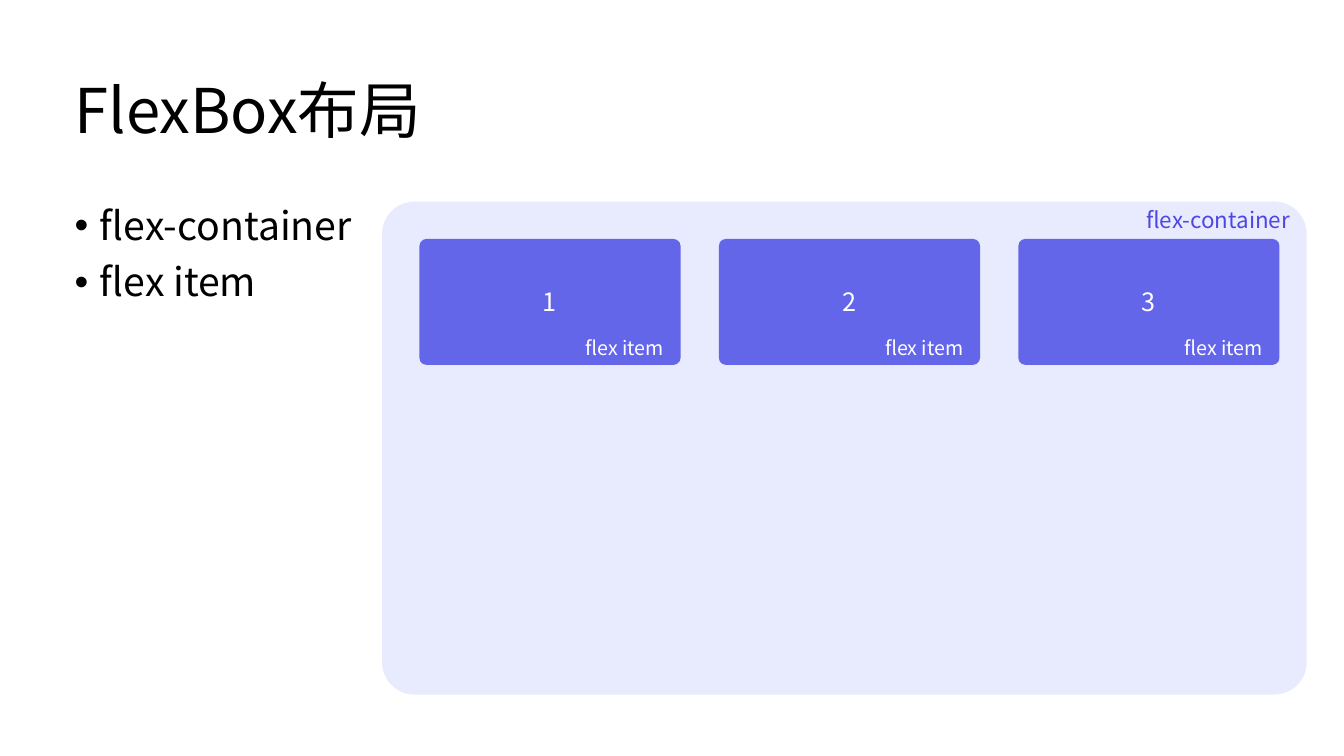
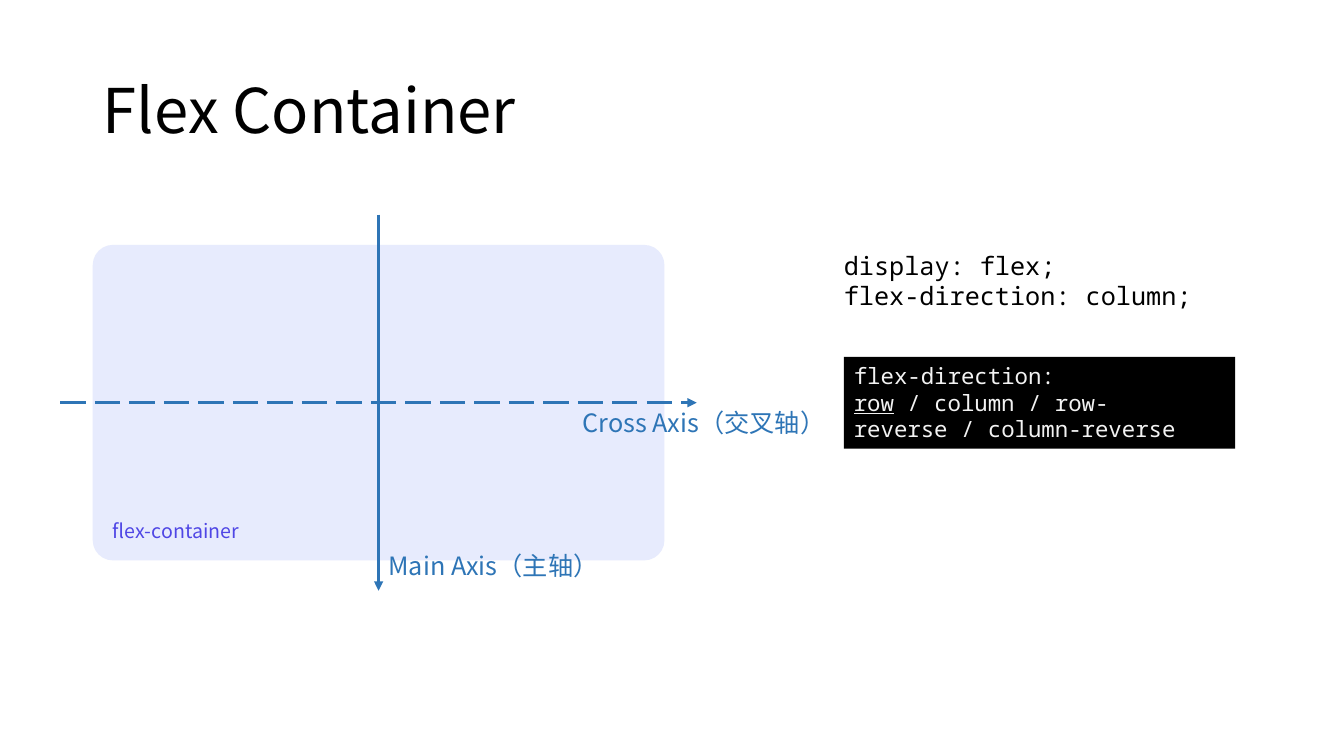
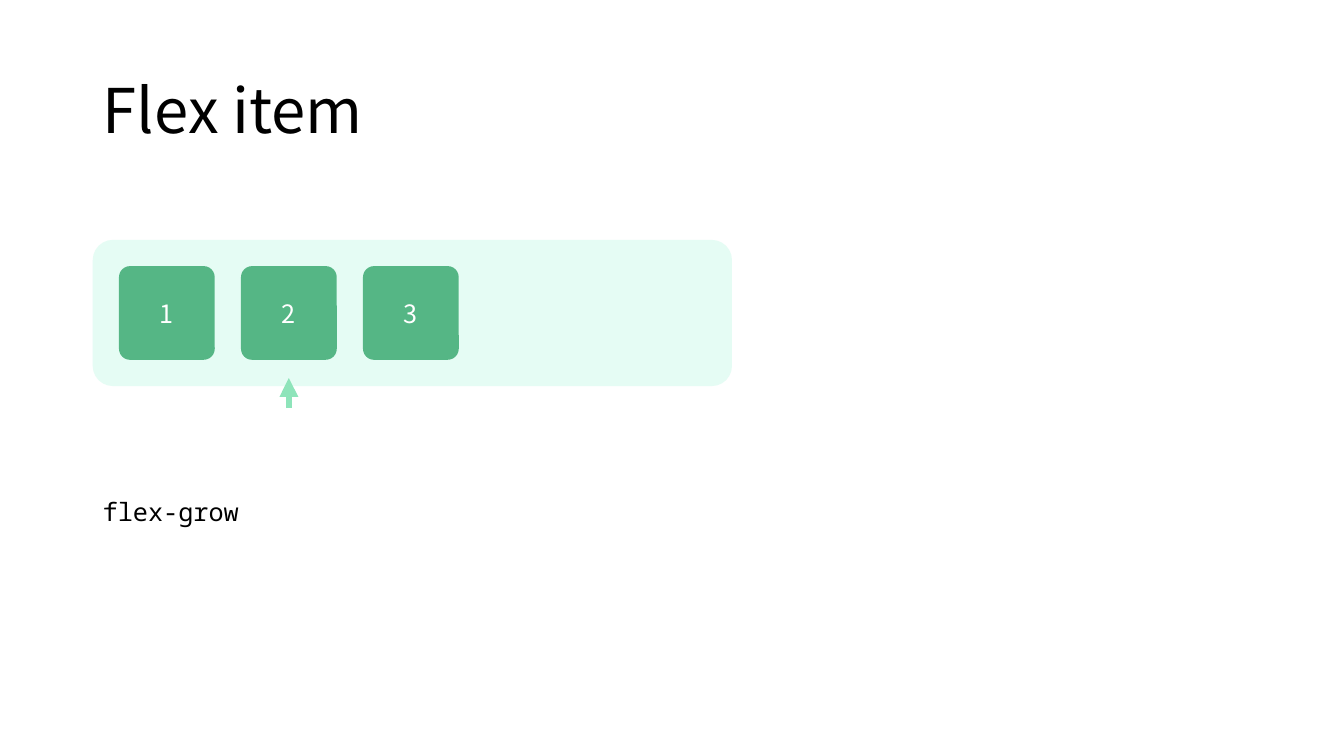
from dataclasses import dataclass

from lxml import etree
from pptx import Presentation
from pptx.dml.color import RGBColor
from pptx.enum.dml import MSO_LINE
from pptx.enum.shapes import MSO_CONNECTOR, MSO_SHAPE
from pptx.enum.text import MSO_ANCHOR, MSO_AUTO_SIZE, PP_ALIGN
from pptx.oxml.ns import qn
from pptx.util import Inches, Pt

ROUNDED, RECT = MSO_SHAPE.ROUNDED_RECTANGLE, MSO_SHAPE.RECTANGLE
STRAIGHT, LONG_DASH = MSO_CONNECTOR.STRAIGHT, MSO_LINE.LONG_DASH
MIDDLE, TOP = MSO_ANCHOR.MIDDLE, MSO_ANCHOR.TOP
LEFT, CENTER = PP_ALIGN.LEFT, PP_ALIGN.CENTER
FIT_SHAPE, NO_FIT = MSO_AUTO_SIZE.SHAPE_TO_FIT_TEXT, MSO_AUTO_SIZE.NONE

# Shared look
SLIDE_W, SLIDE_H = 13.33, 7.5
SANS, MONO = "Noto Sans CJK SC", "Noto Sans Mono"
BLACK, WHITE, OFF_WHITE = "000000", "FFFFFF", "F2F2F2"
LAVENDER, VIOLET, INDIGO = "E7EBFD", "6466E9", "4F46E5"
MINT, GREEN, LIGHT_GREEN = "E5FCF4", "55B685", "8EE4BA"
AXIS_BLUE = "2E75B6"
TITLE_TOP, TITLE_W, TITLE_H = 0.4, 11.5, 1.45
TITLE_ONLY, TITLE_AND_BODY = 5, 1
ITEM_NUMBERS = ("1", "2", "3")


@dataclass
class Box:
    left: float
    top: float
    width: float
    height: float

    @property
    def right(self):
        return self.left + self.width

    @property
    def bottom(self):
        return self.top + self.height

    @property
    def center(self):
        return self.left + self.width / 2, self.top + self.height / 2

    def emu(self):
        return [Inches(n) for n in (self.left, self.top, self.width, self.height)]


def color(hex_code):
    return RGBColor.from_string(hex_code)


def style(paragraph, size, hex_code, font=SANS, align=LEFT):
    paragraph.alignment = align
    paragraph.font.size = Pt(size)
    paragraph.font.color.rgb = color(hex_code)
    paragraph.font.name = font
    latin = paragraph.font._element.find(qn("a:latin"))
    east_asian = etree.Element(qn("a:ea"), typeface=font)
    latin.addnext(east_asian)


def write(frame, lines, size, hex_code, font=SANS, align=LEFT):
    frame.text = "\n".join(lines)
    for paragraph in frame.paragraphs:
        style(paragraph, size, hex_code, font, align)


def place(shape, box):
    shape.left, shape.top, shape.width, shape.height = box.emu()


def add_text(slide, box, lines, size, hex_code, font=SANS, wrap=True):
    frame = slide.shapes.add_textbox(*box.emu()).text_frame
    frame.word_wrap = wrap
    frame.auto_size = FIT_SHAPE
    write(frame, lines, size, hex_code, font)


def add_panel(slide, box, fill, radius=0):
    panel = slide.shapes.add_shape(ROUNDED if radius else RECT, *box.emu())
    panel.shadow.inherit = False
    panel.fill.solid()
    panel.fill.fore_color.rgb = color(fill)
    panel.line.fill.background()
    if radius:
        panel.adjustments[0] = radius / min(box.width, box.height)
    return panel


def add_arrow(slide, start, end, hex_code, width, dash=None):
    arrow = slide.shapes.add_connector(STRAIGHT, *[Inches(n) for n in (*start, *end)])
    arrow.line.color.rgb = color(hex_code)
    arrow.line.width = Pt(width)
    if dash:
        arrow.line.dash_style = dash
    properties = arrow._element.spPr
    etree.SubElement(properties.find(qn("a:ln")), qn("a:tailEnd"), type="triangle")
    etree.SubElement(properties, qn("a:effectLst"))


def add_titled_slide(deck, title, left, layout=TITLE_ONLY):
    slide = deck.slides.add_slide(deck.slide_layouts[layout])
    heading = slide.shapes.title
    place(heading, Box(left, TITLE_TOP, TITLE_W, TITLE_H))
    frame = heading.text_frame
    frame.vertical_anchor = MIDDLE
    frame.auto_size = NO_FIT
    write(frame, [title], 44, BLACK)
    frame.paragraphs[0].line_spacing = 0.9
    return slide


def fill_list(body, box, entries):
    place(body, box)
    frame = body.text_frame
    frame.auto_size = NO_FIT
    write(frame, entries, 28, BLACK)
    for paragraph in frame.paragraphs:
        paragraph.line_spacing = 0.9
        paragraph.space_before = Pt(10)
        indents = paragraph._p.get_or_add_pPr()
        indents.set("marL", str(Inches(0.25)))
        indents.set("indent", str(-Inches(0.25)))


def add_items(slide, container, pad, gap, width, height, fill, radius):
    """Lay numbered items from the container's top left; return their boxes."""
    boxes = []
    for column, number in enumerate(ITEM_NUMBERS):
        box = Box(container.left + pad + column * (width + gap),
                  container.top + pad, width, height)
        frame = add_panel(slide, box, fill, radius).text_frame
        frame.vertical_anchor = MIDDLE
        write(frame, [number], 18, WHITE, align=CENTER)
        boxes.append(box)
    return boxes


def add_axes(slide, box):
    middle_x, middle_y = box.center
    # Cross axis
    add_arrow(slide, (box.left - 0.32, middle_y), (box.right + 0.32, middle_y),
              AXIS_BLUE, 2.25, LONG_DASH)
    add_text(slide, Box(box.right - 0.91, middle_y, 2.69, 0.4),
             ["Cross Axis（交叉轴）"], 18, AXIS_BLUE, wrap=False)
    # Main axis
    add_arrow(slide, (middle_x, box.top - 0.3), (middle_x, box.bottom + 0.3),
              AXIS_BLUE, 2.25)
    add_text(slide, Box(middle_x, box.bottom - 0.15, 2.39, 0.4),
             ["Main Axis（主轴）"], 18, AXIS_BLUE, wrap=False)


def add_direction_values(slide, box):
    frame = add_panel(slide, box, BLACK).text_frame
    frame.word_wrap = True
    frame.vertical_anchor = TOP
    write(frame, ["flex-direction:", "row"], 16, OFF_WHITE, MONO)
    values = frame.paragraphs[1]
    values.runs[0].font.underline = True
    values.add_run().text = " / column / row-reverse / column-reverse"


def build_layout_slide(deck):
    slide = add_titled_slide(deck, "FlexBox布局", 0.64, TITLE_AND_BODY)
    fill_list(slide.placeholders[1], Box(0.64, 2, 3.31, 4.76),
              ["flex-container", "flex item"])
    # Container with its label in the top right corner
    container = Box(3.79, 2, 9.17, 4.89)
    add_panel(slide, container, LAVENDER, 0.32)
    add_text(slide, Box(container.right - 1.69, container.top, 1.69, 0.37),
             ["flex-container"], 16, INDIGO)
    # Items, each labelled in the bottom right corner
    for item in add_items(slide, container, 0.37, 0.38, 2.59, 1.25, VIOLET, 0.07):
        add_text(slide, Box(item.right - 1.04, item.bottom - 0.34, 1.04, 0.34),
                 ["flex item"], 14, WHITE)


def build_container_slide(deck):
    slide = add_titled_slide(deck, "Flex Container", 0.92)
    container = Box(0.92, 2.43, 5.67, 3.13)
    add_panel(slide, container, LAVENDER, 0.2)
    add_text(slide, Box(container.left + 0.1, container.bottom - 0.46, 1.51, 0.34),
             ["flex-container"], 14, INDIGO)
    add_axes(slide, container)
    # Style rules
    add_text(slide, Box(8.27, container.top, 4.68, 0.71),
             ["display: flex;", "flex-direction: column;"], 18, BLACK, MONO)
    add_direction_values(slide, Box(8.37, 3.54, 3.88, 0.91))


def build_item_slide(deck):
    slide = add_titled_slide(deck, "Flex item", 0.92)
    container = Box(0.92, 2.38, 6.34, 1.45)
    add_panel(slide, container, MINT, 0.2)
    items = add_items(slide, container, 0.26, 0.26, 0.95, 0.93, GREEN, 0.11)
    add_text(slide, Box(container.left, 4.87, 2.93, 0.4),
             ["flex-grow"], 18, BLACK, MONO)
    # Pointer to the second item
    pointer_x = items[1].center[0]
    add_arrow(slide, (pointer_x, container.bottom + 0.22),
              (pointer_x, container.bottom - 0.08), LIGHT_GREEN, 4.5)


def main():
    deck = Presentation()
    deck.slide_width, deck.slide_height = Inches(SLIDE_W), Inches(SLIDE_H)
    build_layout_slide(deck)
    build_container_slide(deck)
    build_item_slide(deck)
    deck.save("out.pptx")


if __name__ == "__main__":
    main()
